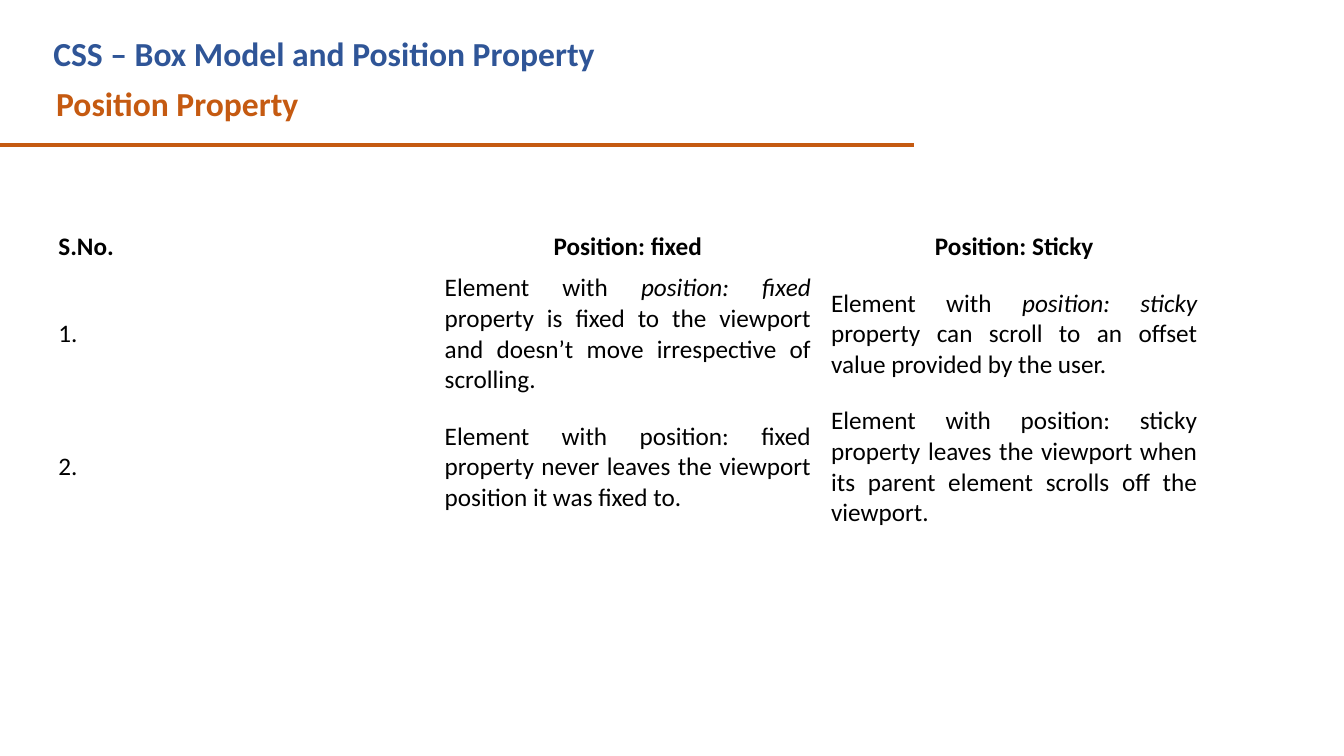
from lxml import etree
from pptx import Presentation
from pptx import util as u
from pptx.dml.color import RGBColor
from pptx.enum import text
from pptx.enum import shapes
from pptx.oxml.ns import qn

BLUE = RGBColor(0x2F, 0x55, 0x97)
ORANGE = RGBColor(0xC5, 0x5A, 0x11)
BLACK = RGBColor(0, 0, 0)
ALIGN = text.PP_ALIGN

HEADINGS = ["S.No.", "Position: fixed", "Position: Sticky"]
COMPARISON = [
    [
        ["1."],
        ["Element with ", "position: fixed",
         " property is fixed to the viewport and doesn’t move irrespective of scrolling."],
        ["Element with ", "position: sticky",
         " property can scroll to an offset value provided by the user.\u00a0"],
    ],
    [
        ["2."],
        ["Element with position: fixed property never leaves the viewport position it was fixed to."],
        ["Element with position: sticky property leaves the viewport when its parent element "
         "scrolls off the viewport."],
    ],
]


def add_run(paragraph, words, color, **formats):
    """Append a run in the slide font with the given format values."""
    run = paragraph.add_run()
    run.text = words
    run.font.color.rgb = color
    for name, value in {"name": "Calibri", **formats}.items():
        setattr(run.font, name, value)


def add_heading(slide, left, top, width, words, color):
    """Place one bold heading line in a text box."""
    box = slide.shapes.add_textbox(u.Pt(left), u.Pt(top), u.Pt(width), u.Pt(36))
    frame = box.text_frame
    frame.word_wrap = True
    frame.auto_size = text.MSO_AUTO_SIZE.SHAPE_TO_FIT_TEXT
    add_run(frame.paragraphs[0], words, color, size=u.Pt(24), bold=True)


def add_header(slide, left, top, width):
    """Draw the title, the subtitle and the rule below them."""
    add_heading(slide, left + 31, top + 20, 590, "CSS – Box Model and Position Property", BLUE)
    add_heading(slide, left + 33, top + 55.5, 630, "Position Property", ORANGE)
    rule_top = u.Pt(top + 103.5)
    rule = slide.shapes.add_connector(
        shapes.MSO_CONNECTOR.STRAIGHT, u.Pt(left), rule_top, u.Pt(left + width), rule_top)
    rule.line.color.rgb = ORANGE
    rule.line.width = u.Pt(3)
    etree.SubElement(rule._element.spPr, qn("a:effectLst"))


def fill_cell(cell, pieces, alignment, bold):
    """Write the pieces into a clear cell, with every second piece italic."""
    cell.fill.background()
    cell.vertical_anchor = text.MSO_ANCHOR.MIDDLE
    paragraph = cell.text_frame.paragraphs[0]
    paragraph.alignment = alignment
    for index, words in enumerate(pieces):
        add_run(paragraph, words, BLACK, size=u.Pt(18), bold=bold, italic=index % 2 == 1)


def add_comparison(slide, left, top, width):
    """Build the table that compares fixed and sticky positions."""
    heights = [29.2, 95, 95]
    table = slide.shapes.add_table(
        len(heights), len(HEADINGS), u.Pt(left), u.Pt(top), u.Pt(width), u.Pt(sum(heights))).table
    table.first_row = table.horz_banding = False
    for column in table.columns:
        column.width = u.Pt(width / len(HEADINGS))
    rows = [[[heading] for heading in HEADINGS]] + COMPARISON
    for row_index, (height, row) in enumerate(zip(heights, rows)):
        table.rows[row_index].height = u.Pt(height)
        is_heading = row_index == 0
        for column_index, pieces in enumerate(row):
            alignment = ALIGN.CENTER if is_heading else ALIGN.JUSTIFY
            if column_index == 0:
                alignment = ALIGN.LEFT
            fill_cell(table.cell(row_index, column_index), pieces, alignment, is_heading)


def main():
    """Build and save the slide."""
    presentation = Presentation()
    presentation.slide_width = u.Pt(960)
    presentation.slide_height = u.Pt(540)
    slide = presentation.slides.add_slide(presentation.slide_layouts[6])
    add_header(slide, 0, 0, 653)
    add_comparison(slide, 34.5, 162, 828)
    presentation.save("out.pptx")


if __name__ == "__main__":
    main()
